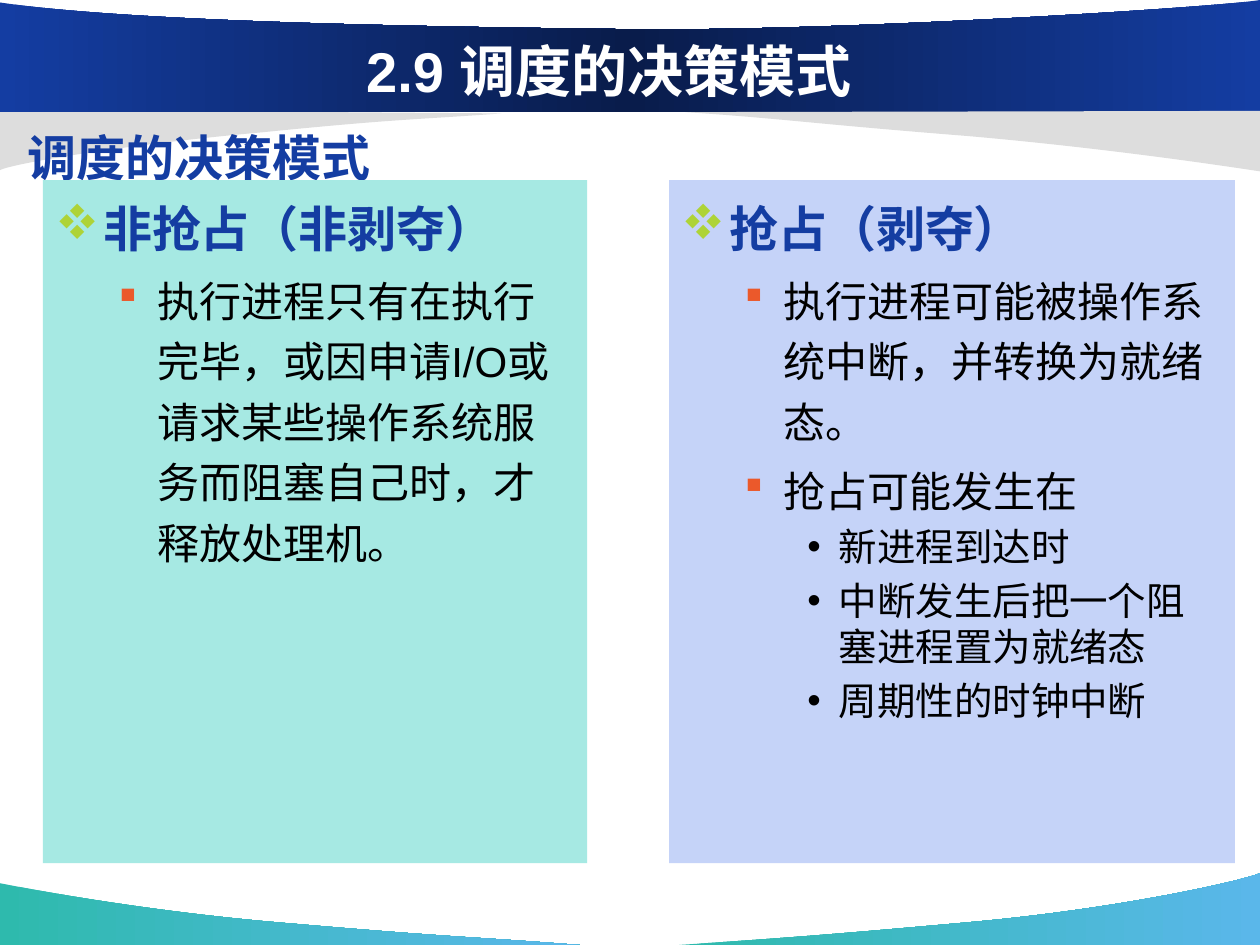
"""Build the slide comparing non-preemptive and preemptive scheduling decisions."""
from copy import deepcopy
from dataclasses import dataclass
from typing import NamedTuple

from lxml.etree import SubElement
from pptx import Presentation
from pptx.dml.color import RGBColor
from pptx.enum.shapes import MSO_SHAPE
from pptx.enum.text import MSO_ANCHOR, PP_ALIGN
from pptx.oxml.ns import qn
from pptx.util import Inches, Pt

Point = tuple[float, float]


@dataclass(frozen=True)
class Theme:
    """Colours, type sizes and fonts of the slide."""
    font: str = "Arial"
    symbol_font: str = "Wingdings"
    navy: str = "143DA2"
    white: str = "FFFFFF"
    black: str = "000000"
    grey: str = "DDDDDD"
    mint: str = "A6E9E3"
    lavender: str = "C5D3F8"
    lime: str = "AED337"
    orange: str = "EB592B"
    wave: tuple[str, ...] = ("2EBAAD", "5AB7EA")
    banner: tuple[str, ...] = ("143DA2", "091C4B", "143DA2")
    title_size: float = 32
    heading_size: float = 28
    body_size: float = 24
    detail_size: float = 22


THEME = Theme()


class Box(NamedTuple):
    """Position and size in inches."""
    left: float
    top: float
    width: float
    height: float


class Curve(NamedTuple):
    """Outline of lines (one point) and Bezier curves (three points)."""
    start: Point
    segments: list[tuple[Point, ...]]
    colors: tuple[str, ...]


class Bullet(NamedTuple):
    """Character, font and colour of a bullet."""
    character: str
    font: str
    color: str


class Style(NamedTuple):
    """Look of one paragraph level."""
    size: float
    color: str
    bold: bool = False
    spacing: float = 1.0
    before: float = 0
    align: PP_ALIGN = PP_ALIGN.LEFT
    level: int = 0
    margin: float = 0
    hanging: float = 0
    bullet: Bullet | None = None


class Panel(NamedTuple):
    """Filled box with its bulleted lines."""
    box: Box
    color: str
    lines: list[tuple[str, Style]]


TITLE = Style(THEME.title_size, THEME.white, True, align=PP_ALIGN.CENTER)
SUBTITLE = Style(THEME.heading_size, THEME.navy, True, 1.2)
HEADING = SUBTITLE._replace(margin=0.38, hanging=0.38,
                            bullet=Bullet("v", THEME.symbol_font, THEME.lime))
BODY = Style(THEME.body_size, THEME.black, spacing=1.2, before=4.8, level=1,
             margin=0.81, hanging=0.31, bullet=Bullet("§", THEME.symbol_font, THEME.orange))
DETAIL = Style(THEME.detail_size, THEME.black, before=4.4, level=2,
               margin=1.25, hanging=0.25, bullet=Bullet("•", THEME.font, THEME.black))

CURVES = [
    Curve((4.6, 7.5), [((3.84, 7.44), (3.58, 7.44), (2.32, 7.33)),
                       ((1.06, 7.23), (0.01, 7.01), (0, 7.01)), ((0, 7.5),)], THEME.wave),
    Curve((5.39, 7.5), [((6.14, 7.45), (6.46, 7.43), (7.69, 7.32)),
                        ((8.92, 7.21), (9.9, 6.98), (10, 6.93)), ((10, 7.5),)], THEME.wave),
    Curve((3.98, 0.9), [((3.31, 0.95), (3.18, 0.94), (2.08, 1.05)),
                        ((0.97, 1.15), (0.09, 1.3), (0, 1.35)), ((0, 0.87),)], (THEME.grey,)),
    Curve((0, 0.89), [((10, 0.89),), ((10, 0),), ((9.64, 0.06), (6.53, 0.26), (4.87, 0.23)),
                      ((3.21, 0.21), (1.01, 0.17), (0, 0.02))], THEME.banner),
    Curve((5.44, 0.89), [((6.2, 0.94), (6.42, 0.98), (7.68, 1.08)),
                         ((8.94, 1.19), (9.99, 1.36), (10, 1.36)), ((10, 0.88),)], (THEME.grey,)),
]

PANELS = [
    Panel(Box(0.34, 1.43, 4.32, 5.42), THEME.mint, [
        ("非抢占（非剥夺）", HEADING),
        ("执行进程只有在执行完毕，或因申请I/O或请求某些操作系统服务而阻塞自己时，才释放处理机。", BODY),
    ]),
    Panel(Box(5.31, 1.43, 4.49, 5.42), THEME.lavender, [
        ("抢占（剥夺）", HEADING),
        ("执行进程可能被操作系统中断，并转换为就绪态。", BODY),
        ("抢占可能发生在", BODY),
        ("新进程到达时", DETAIL),
        ("中断发生后把一个阻塞进程置为就绪态", DETAIL),
        ("周期性的时钟中断", DETAIL),
    ]),
]


def paint(shape, colors: tuple[str, ...]) -> None:
    """Fill a shape with one colour or an even horizontal gradient."""
    shape.shadow.inherit = False
    shape.line.fill.background()
    if len(colors) == 1:
        shape.fill.solid()
        shape.fill.fore_color.rgb = RGBColor.from_string(colors[0])
        return
    shape.fill.gradient()
    shape.fill.gradient_angle = 0
    stop_list = shape._element.spPr.find(qn("a:gradFill")).find(qn("a:gsLst"))
    while len(stop_list) < len(colors):
        stop_list.append(deepcopy(stop_list[0]))
    for index, (stop, color) in enumerate(zip(shape.fill.gradient_stops, colors)):
        stop.position = index / (len(colors) - 1)
        stop.color.rgb = RGBColor.from_string(color)


def add_curve(slide, curve: Curve) -> None:
    """Draw a closed outline, joining each three-point segment into a Bezier curve."""
    points = [(round(x * 1000), round(y * 1000))
              for x, y in (curve.start, *(point for segment in curve.segments for point in segment))]
    builder = slide.shapes.build_freeform(*points[0], scale=Inches(1) / 1000)
    builder.add_line_segments(points[1:], close=True)
    shape = builder.convert_to_shape()
    lines = shape._element.spPr.findall(".//" + qn("a:lnTo"))
    for segment in curve.segments:
        first, *others = [lines.pop(0) for point in segment]
        if others:
            bezier = first.makeelement(qn("a:cubicBezTo"))
            first.addprevious(bezier)
            for line in (first, *others):
                bezier.append(line[0])
                line.getparent().remove(line)
    paint(shape, curve.colors)


def add_bullet(paragraph, style: Style) -> None:
    """Give a paragraph its hanging indent and coloured bullet."""
    properties = paragraph._p.get_or_add_pPr()
    properties.set("marL", str(Inches(style.margin)))
    properties.set("indent", str(-Inches(style.hanging)))
    color = SubElement(properties, qn("a:buClr"))
    SubElement(color, qn("a:srgbClr")).set("val", style.bullet.color)
    SubElement(properties, qn("a:buFont")).set("typeface", style.bullet.font)
    SubElement(properties, qn("a:buChar")).set("char", style.bullet.character)


def write(frame, lines: list[tuple[str, Style]], anchor: MSO_ANCHOR = MSO_ANCHOR.TOP) -> None:
    """Write styled paragraphs into a text frame."""
    frame.word_wrap = True
    frame.vertical_anchor = anchor
    for index, (text, style) in enumerate(lines):
        paragraph = frame.add_paragraph() if index else frame.paragraphs[0]
        if style.bullet:
            add_bullet(paragraph, style)
        layout = {"alignment": style.align, "level": style.level,
                  "line_spacing": style.spacing, "space_before": Pt(style.before)}
        for name, value in layout.items():
            setattr(paragraph, name, value)
        run = paragraph.add_run()
        run.text = text
        for name, value in {"name": THEME.font, "size": Pt(style.size), "bold": style.bold}.items():
            setattr(run.font, name, value)
        run.font.color.rgb = RGBColor.from_string(style.color)


def main() -> None:
    """Build and save the slide."""
    presentation = Presentation()
    presentation.slide_width, presentation.slide_height = Inches(10), Inches(7.5)
    slide = presentation.slides.add_slide(presentation.slide_layouts[6])
    for curve in CURVES:
        add_curve(slide, curve)
    for box, text, style, anchor in (
        (Box(0.92, 0.25, 7.83, 0.62), "2.9 调度的决策模式", TITLE, MSO_ANCHOR.MIDDLE),
        (Box(0.12, 0.87, 9, 0.47), "调度的决策模式", SUBTITLE, MSO_ANCHOR.TOP),
    ):
        label = slide.shapes.add_textbox(*map(Inches, box))
        write(label.text_frame, [(text, style)], anchor)
    for panel in PANELS:
        shape = slide.shapes.add_shape(MSO_SHAPE.RECTANGLE, *map(Inches, panel.box))
        paint(shape, (panel.color,))
        write(shape.text_frame, panel.lines)
    presentation.save("out.pptx")


if __name__ == "__main__":
    main()
